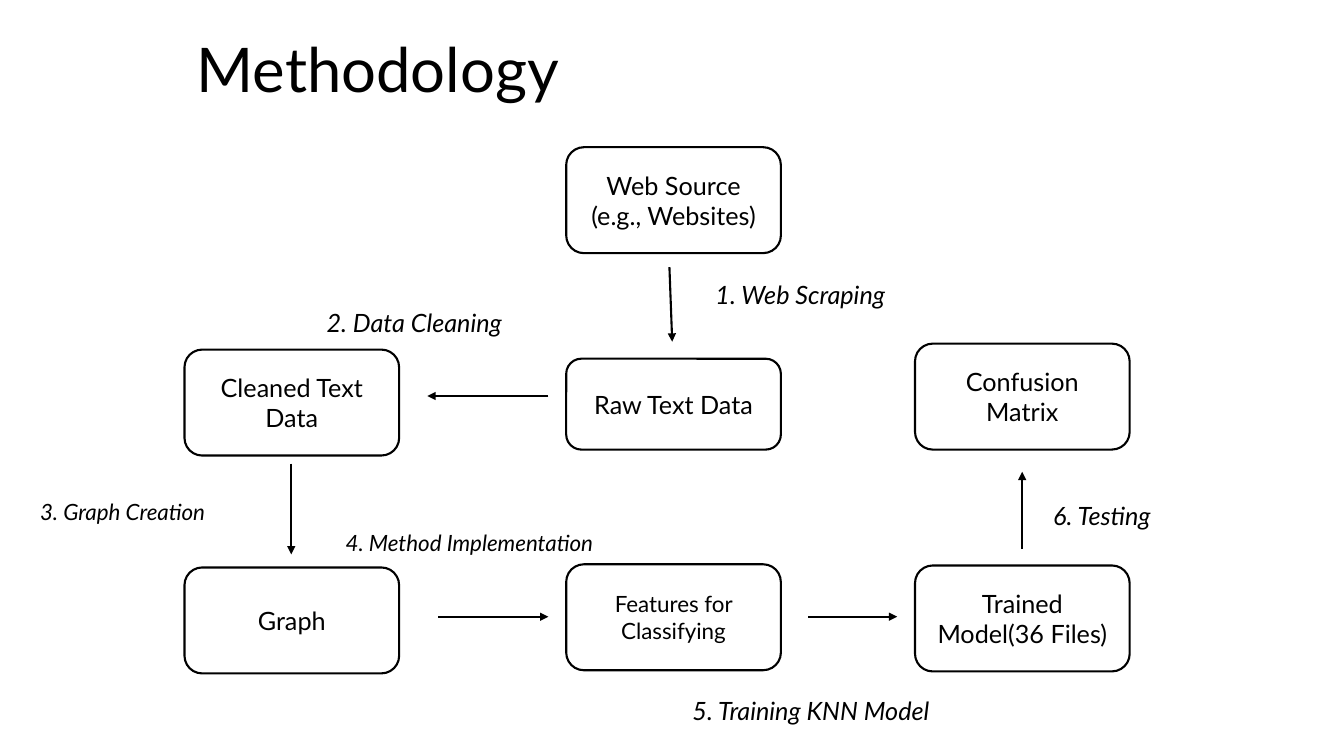
"""Build the Methodology slide: a flow chart of boxes, arrows and step labels."""
from lxml.etree import SubElement
from pptx import Presentation
from pptx.dml.color import RGBColor
from pptx.enum.shapes import MSO_CONNECTOR as CONN, MSO_SHAPE as SHAPE
from pptx.enum.text import MSO_ANCHOR as ANCHOR, PP_ALIGN as ALIGN
from pptx.oxml.ns import qn
from pptx.util import Cm, Pt

BLACK = RGBColor(0, 0, 0)
WHITE = RGBColor(255, 255, 255)
LEFT, MIDDLE, RIGHT = 4.65, 14.27, 23.06
BOX_W, BOX_H = 5.41, 2.67


def write(sp, text, align=ALIGN.LEFT, **font):
    tf = sp.text_frame
    tf.word_wrap = True
    tf.vertical_anchor = ANCHOR.MIDDLE
    p = tf.paragraphs[0]
    p.alignment = align
    r = p.add_run()
    r.text = text
    r.font.color.rgb = BLACK
    for name, value in {"name": "Lato", **font}.items():
        setattr(r.font, name, value)
    return p


prs = Presentation()
prs.slide_width, prs.slide_height = Cm(33.87), Cm(19.05)
s = prs.slides.add_slide(prs.slide_layouts[6])

title = s.shapes.add_textbox(0, 0, prs.slide_width, Cm(3.68))
p = write(title, "Methodology", size=Pt(44))
p.line_spacing = 0.9
title.text_frame.margin_left = Cm(4.95)

boxes = [
    ("Web Source (e.g., Websites)", MIDDLE, 3.71, BOX_H, 18),
    ("Raw Text Data", MIDDLE, 9.04, 2.29, 18),
    ("Cleaned Text Data", LEFT, 8.81, BOX_H, 18),
    ("Graph", LEFT, 14.3, BOX_H, 18),
    ("Features for Classifying", MIDDLE, 14.22, BOX_H, 16),
    ("Trained Model(36 Files)", RIGHT, 14.25, BOX_H, 18),
    ("Confusion Matrix", RIGHT, 8.66, BOX_H, 18),
]
for text, x, y, h, size in boxes:
    sp = s.shapes.add_shape(SHAPE.ROUNDED_RECTANGLE, Cm(x), Cm(y), Cm(BOX_W), Cm(h))
    sp.shadow.inherit = False
    sp.fill.solid()
    sp.fill.fore_color.rgb = WHITE
    sp.line.color.rgb = BLACK
    sp.line.width = Pt(1.5)
    write(sp, text, ALIGN.CENTER, size=Pt(size))

arrows = [
    (16.87, 6.73, 16.94, 8.61),
    (13.82, 9.98, 10.77, 9.98),
    (7.34, 11.68, 7.34, 13.97),
    (11.05, 15.54, 13.82, 15.54),
    (20.37, 15.54, 22.61, 15.54),
    (25.76, 13.84, 25.76, 11.89),
]
for ends in arrows:
    arrow = s.shapes.add_connector(CONN.STRAIGHT, *map(Cm, ends))
    arrow.line.color.rgb = BLACK
    arrow.line.width = Pt(1.5)
    SubElement(arrow.line._get_or_add_ln(), qn("a:tailEnd"), type="triangle")
    SubElement(arrow._element.spPr, qn("a:effectLst"))

steps = [
    ("1. Web Scraping", 17.78, 6.91, 6.25, 18),
    ("2. Data Cleaning", 7.98, 7.62, 6.63, 18),
    ("3. Graph Creation", 0.76, 12.4, 6.5, 16),
    ("4. Method Implementation", 8.46, 13.18, 8.74, 16),
    ("5. Training KNN Model", 17.2, 17.4, 8.56, 18),
    ("6. Testing", 26.29, 12.5, 4.34, 18),
]
for text, x, y, w, size in steps:
    label = s.shapes.add_textbox(Cm(x), Cm(y), Cm(w), Cm(1))
    write(label, text, size=Pt(size), italic=True)

prs.save("out.pptx")
